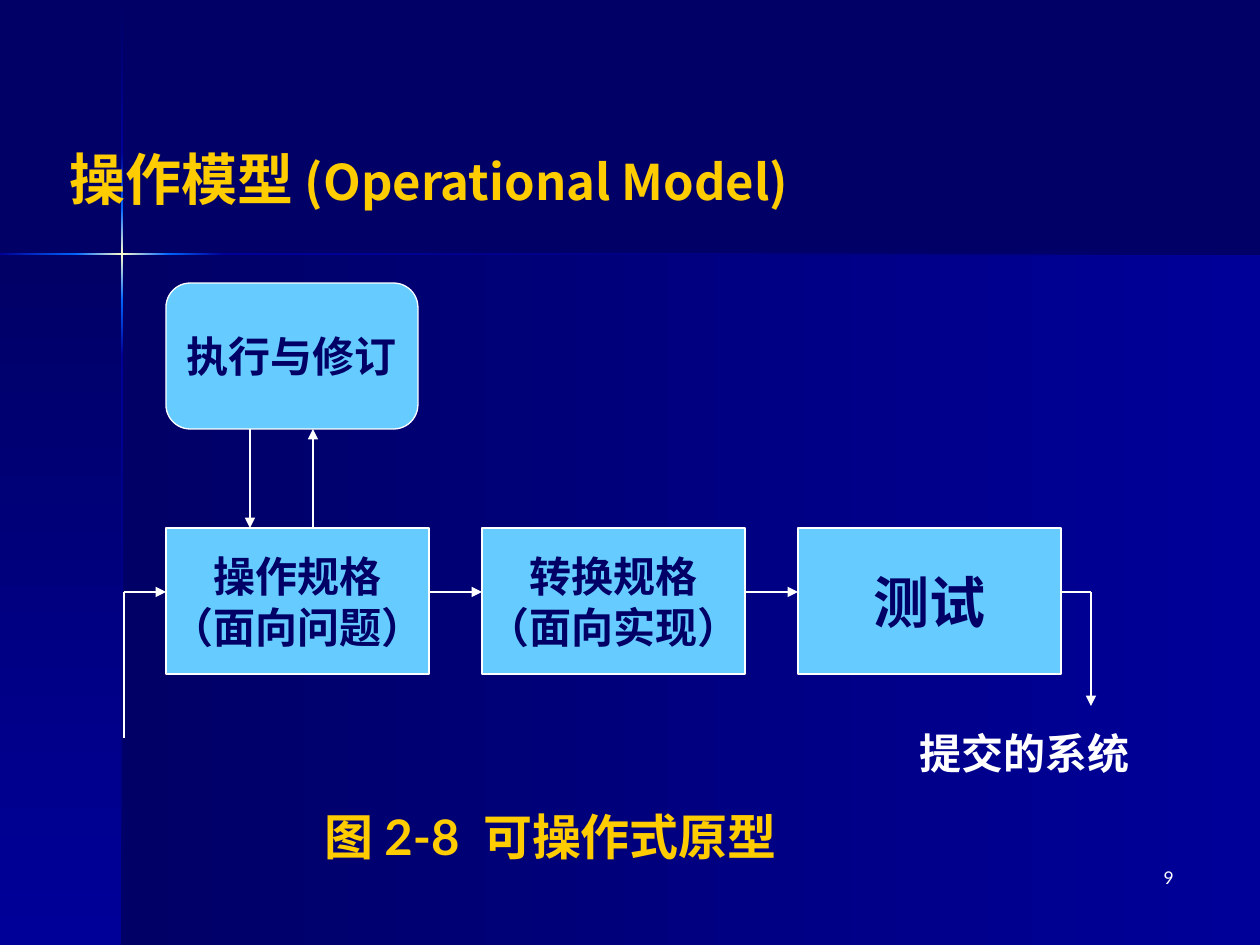
import copy

import pptx
import pptx.dml.color
import pptx.enum.shapes
import pptx.enum.text
import pptx.oxml.ns
import pptx.util
from lxml import etree

RGB = pptx.dml.color.RGBColor
SHAPE = pptx.enum.shapes.MSO_SHAPE
ALIGN = pptx.enum.text.PP_ALIGN
ANCHOR = pptx.enum.text.MSO_ANCHOR
qn = pptx.oxml.ns.qn

NAVY = RGB(0x00, 0x00, 0x66)
BLUE = RGB(0x00, 0x00, 0x99)
GLOW = RGB(0x00, 0x66, 0xFF)
CREAM = RGB(0xFF, 0xFF, 0xCC)
SKY = RGB(0x66, 0xCC, 0xFF)
GOLD = RGB(0xFF, 0xCC, 0x00)
WHITE = RGB(0xFF, 0xFF, 0xFF)
CJK, LATO, TIMES = "Noto Sans CJK SC", "Lato", "Times New Roman"

TITLE = [("操作模型", 32), (" (Operational Model)", 28)]
STAGES = [("操作规格\n（面向问题）", 24), ("转换规格\n（面向实现）", 24), ("测试", 32)]
REVISION = "执行与修订"
LABELS = [
    ("图 2-8  可操作式原型", (312, 800, 566, 72), 28, LATO, GOLD, True, ALIGN.LEFT),
    ("提交的系统", (907, 721, 267, 63), 24, TIMES, WHITE, True, ALIGN.LEFT),
    ("9", (924, 861, 262, 63), 10, LATO, WHITE, False, ALIGN.RIGHT),
]

DOWN, LEFTWARD = 270, 180
BACKDROP = [
    ((122, 255, 1138, 690), LEFTWARD, (BLUE, NAVY)),
    ((0, 255, 122, 690), DOWN, (NAVY, BLUE)),
    ((121, 1, 2, 151), DOWN, (NAVY, BLUE)),
    ((121, 355, 2, 590), DOWN, (BLUE, NAVY)),
    ((223, 253, 1037, 2), LEFTWARD, (NAVY, BLUE)),
    ((121, 300, 2, 55), DOWN, (GLOW, BLUE)),
    ((121, 152, 2, 56), DOWN, (BLUE, GLOW)),
    ((121, 208, 2, 92), DOWN, (GLOW, CREAM, GLOW)),
    ((0, 253, 77, 2), LEFTWARD, (GLOW, BLUE)),
    ((168, 253, 55, 2), LEFTWARD, (BLUE, GLOW)),
    ((76, 253, 92, 2), LEFTWARD, (GLOW, CREAM, GLOW)),
]

STAGE_LEFT, STAGE_TOP, STAGE_STEP = 166, 528, 316
STAGE_WIDTH, BOX_HEIGHT = 263, 146
REVISION_TOP, REVISION_WIDTH = 283, 252
FLOW_Y, ENTRY_X, EXIT_X = 592, 124, 1091


def px(length):
    return pptx.util.Emu(round(length * 914400 / 126))


def place(part, box):
    part.left, part.top, part.width, part.height = map(px, box)


def format_run(run, size, typeface, colour, bold):
    run.font.size = pptx.util.Pt(size)
    run.font.bold = bold
    run.font.color.rgb = colour
    run.font.name = typeface
    east_asian = etree.SubElement(run.font._element, qn("a:ea"))
    east_asian.set("typeface", CJK)


def write(frame, text, size, typeface, colour, bold, align):
    frame.text = text
    for paragraph in frame.paragraphs:
        paragraph.alignment = align
        for run in paragraph.runs:
            format_run(run, size, typeface, colour, bold)


def add_panel(shapes, box, angle, colours):
    panel = shapes.add_shape(SHAPE.RECTANGLE, *map(px, box))
    panel.shadow.inherit = False
    panel.line.fill.background()
    panel.fill.gradient()
    panel.fill.gradient_angle = angle
    stop_list = panel._element.spPr.find(".//" + qn("a:gsLst"))
    while len(stop_list) < len(colours):
        stop_list.append(copy.deepcopy(stop_list[0]))
    for i, (stop, colour) in enumerate(zip(panel.fill.gradient_stops, colours)):
        stop.position = i / (len(colours) - 1)
        stop.color.rgb = colour


def add_step(shapes, kind, box, text, size):
    step = shapes.add_shape(kind, *map(px, box))
    step.shadow.inherit = False
    step.fill.solid()
    step.fill.fore_color.rgb = SKY
    step.line.color.rgb = WHITE
    step.line.width = pptx.util.Pt(0.75)
    step.text_frame.word_wrap = False
    step.text_frame.vertical_anchor = ANCHOR.MIDDLE
    write(step.text_frame, text, size, TIMES, NAVY, True, ALIGN.CENTER)


def add_flow(shapes, start, end, arrow):
    flow = shapes.add_connector(
        pptx.enum.shapes.MSO_CONNECTOR.STRAIGHT, *map(px, start + end))
    flow.line.color.rgb = WHITE
    flow.line.width = pptx.util.Pt(0.75)
    if arrow:
        etree.SubElement(flow.line._get_or_add_ln(), qn("a:tailEnd")).set("type", "triangle")
    etree.SubElement(flow._element.spPr, qn("a:effectLst"))


def main():
    deck = pptx.Presentation()
    deck.slide_width, deck.slide_height = px(1260), px(945)
    slide = deck.slides.add_slide(deck.slide_layouts[5])
    shapes = slide.shapes
    slide.background.fill.solid()
    slide.background.fill.fore_color.rgb = NAVY
    for box, angle, colours in BACKDROP:
        add_panel(shapes, box, angle, colours)

    title = shapes.title
    shapes._spTree.append(title._element)
    place(title, (57, 134, 1164, 88))
    title.text_frame.vertical_anchor = ANCHOR.MIDDLE
    heading = title.text_frame.paragraphs[0]
    heading.alignment = ALIGN.LEFT
    for text, size in TITLE:
        run = heading.add_run()
        run.text = text
        format_run(run, size, CJK, GOLD, True)

    stage_lefts = [STAGE_LEFT + i * STAGE_STEP for i in range(len(STAGES))]
    for left, (text, size) in zip(stage_lefts, STAGES):
        add_step(shapes, SHAPE.RECTANGLE,
                 (left, STAGE_TOP, STAGE_WIDTH, BOX_HEIGHT), text, size)
    add_step(shapes, SHAPE.FLOWCHART_ALTERNATE_PROCESS,
             (STAGE_LEFT, REVISION_TOP, REVISION_WIDTH, BOX_HEIGHT), REVISION, 24)

    revision_bottom = REVISION_TOP + BOX_HEIGHT
    last_right = stage_lefts[-1] + STAGE_WIDTH
    flows = [
        ((250, revision_bottom), (250, STAGE_TOP), True),
        ((313, STAGE_TOP), (313, revision_bottom), True),
        ((ENTRY_X, FLOW_Y), (ENTRY_X, 738), False),
        ((ENTRY_X, FLOW_Y), (STAGE_LEFT, FLOW_Y), True),
        ((last_right, FLOW_Y), (EXIT_X, FLOW_Y), False),
        ((EXIT_X, FLOW_Y), (EXIT_X, 706), True),
    ]
    for left, following in zip(stage_lefts, stage_lefts[1:]):
        flows.append(((left + STAGE_WIDTH, FLOW_Y), (following, FLOW_Y), True))
    for start, end, arrow in flows:
        add_flow(shapes, start, end, arrow)

    for text, box, size, typeface, colour, bold, align in LABELS:
        label = shapes.add_textbox(*map(px, box))
        label.text_frame.word_wrap = True
        write(label.text_frame, text, size, typeface, colour, bold, align)

    deck.save("out.pptx")


if __name__ == "__main__":
    main()
